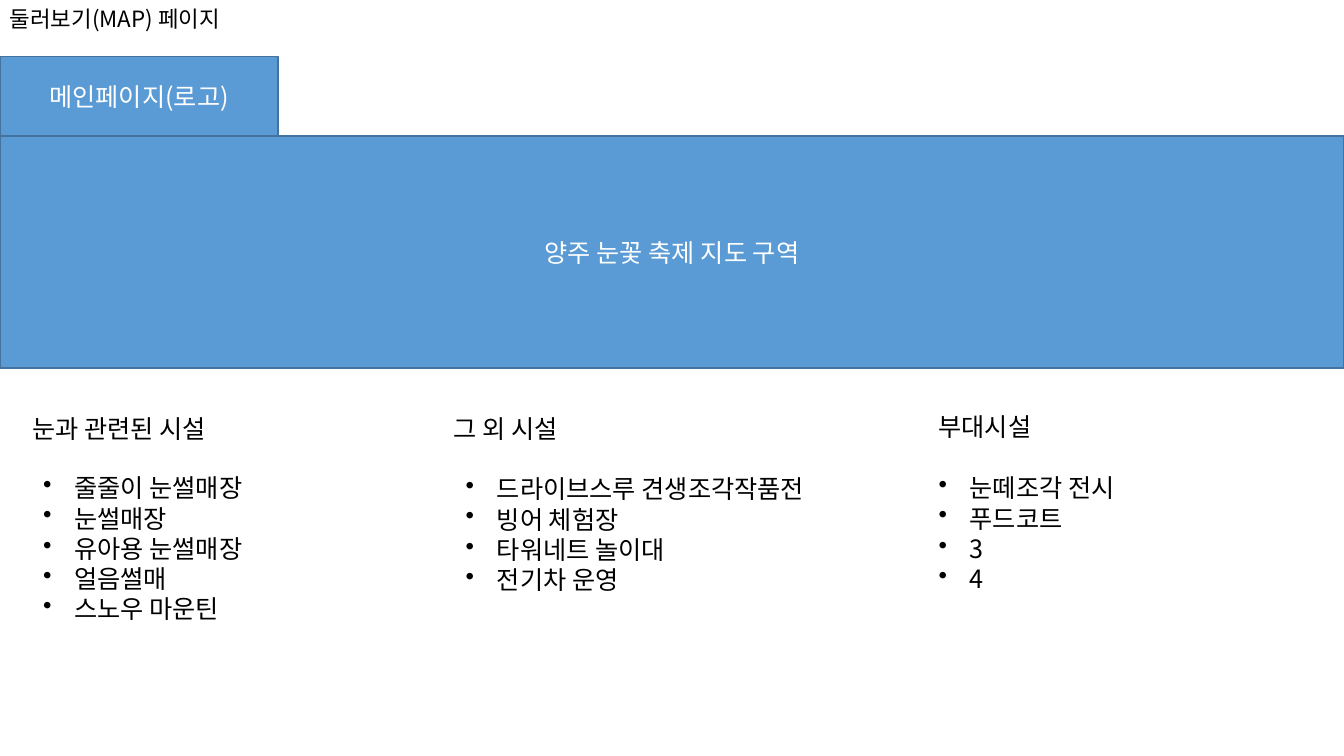
"""Builds the map page layout of the snow festival site."""
from lxml import etree
from pptx import Presentation
from pptx.dml.color import RGBColor
from pptx.enum.shapes import MSO_SHAPE
from pptx.enum.text import MSO_ANCHOR, MSO_AUTO_SIZE, PP_ALIGN
from pptx.oxml.ns import qn
from pptx.util import Inches, Pt

RECTANGLE = MSO_SHAPE.RECTANGLE
MIDDLE, TOP = MSO_ANCHOR.MIDDLE, MSO_ANCHOR.TOP
CENTER, LEFT = PP_ALIGN.CENTER, PP_ALIGN.LEFT
FIT_SHAPE = MSO_AUTO_SIZE.SHAPE_TO_FIT_TEXT

WIDTH, HEIGHT = 13.33, 7.5
FONT = "Noto Sans CJK KR"
COLORS = {"fill": "5B9BD5", "line": "43739E", "light": "FFFFFF", "dark": "000000"}
LINE_HEIGHT, PADDING, INDENT = 0.3, 0.1, 0.31

TITLE = "둘러보기(MAP) 페이지"
BANDS = [
    ("메인페이지(로고)", 0.56, 2.76, 0.79),
    ("양주 눈꽃 축제 지도 구역", 1.35, WIDTH, 2.3),
]
FACILITIES = [
    ("눈과 관련된 시설", (0.22, 4.05, 2.15), (0.33, 4.64, 2.37),
     ["줄줄이 눈썰매장", "눈썰매장", "유아용 눈썰매장", "얼음썰매", "스노우 마운틴"]),
    ("그 외 시설", (4.4, 4.05, 1.39), (4.52, 4.65, 3.89),
     ["드라이브스루 견생조각작품전", "빙어 체험장", "타워네트 놀이대", "전기차 운영"]),
    ("부대시설", (9.21, 4.03, 1.21), (9.21, 4.64, 2.12),
     ["눈떼조각 전시", "푸드코트", "3", "4"]),
]


def color(name):
    return RGBColor.from_string(COLORS[name])


def write(shape, lines, ink, size=18, align=LEFT, anchor=TOP, spacing=Pt(21.6)):
    frame = shape.text_frame
    frame.text = "\n".join(lines)
    frame.vertical_anchor = anchor
    for paragraph in frame.paragraphs:
        paragraph.alignment = align
        paragraph.line_spacing = spacing
        font = paragraph.font
        font.name, font.size = FONT, Pt(size)
        font.color.rgb = color(ink)
        properties = paragraph._p.get_or_add_pPr().find(qn("a:defRPr"))
        etree.SubElement(properties, qn("a:ea")).set("typeface", FONT)
    return frame


def add_band(slide, label, top, width, height):
    band = slide.shapes.add_shape(RECTANGLE, 0, Inches(top), Inches(width), Inches(height))
    band.shadow.inherit = False
    band.fill.solid()
    band.fill.fore_color.rgb = color("fill")
    band.line.color.rgb = color("line")
    band.line.width = Pt(1)
    write(band, [label], "light", align=CENTER, anchor=MIDDLE)


def add_text(slide, lines, left, top, width):
    height = len(lines) * LINE_HEIGHT + PADDING
    box = slide.shapes.add_textbox(Inches(left), Inches(top), Inches(width), Inches(height))
    frame = write(box, lines, "dark")
    frame.word_wrap = False
    frame.auto_size = FIT_SHAPE
    return frame


def add_bullets(frame):
    for paragraph in frame.paragraphs:
        properties = paragraph._p.get_or_add_pPr()
        properties.set("marL", str(Inches(INDENT)))
        properties.set("indent", str(-Inches(INDENT)))
        bullet = etree.Element(qn("a:buChar"), char="•")
        properties.find(qn("a:defRPr")).addprevious(bullet)


def main():
    presentation = Presentation()
    presentation.slide_width, presentation.slide_height = Inches(WIDTH), Inches(HEIGHT)
    slide = presentation.slides.add_slide(presentation.slide_layouts[6])
    for band in BANDS:
        add_band(slide, *band)
    for heading, heading_place, list_place, items in FACILITIES:
        add_text(slide, [heading], *heading_place)
        add_bullets(add_text(slide, items, *list_place))
    title = slide.shapes.add_textbox(0, 0, Inches(2.48), Inches(0.4))
    write(title, [TITLE], "dark", size=16, anchor=MIDDLE, spacing=0.9).word_wrap = True
    presentation.save("out.pptx")


if __name__ == "__main__":
    main()
